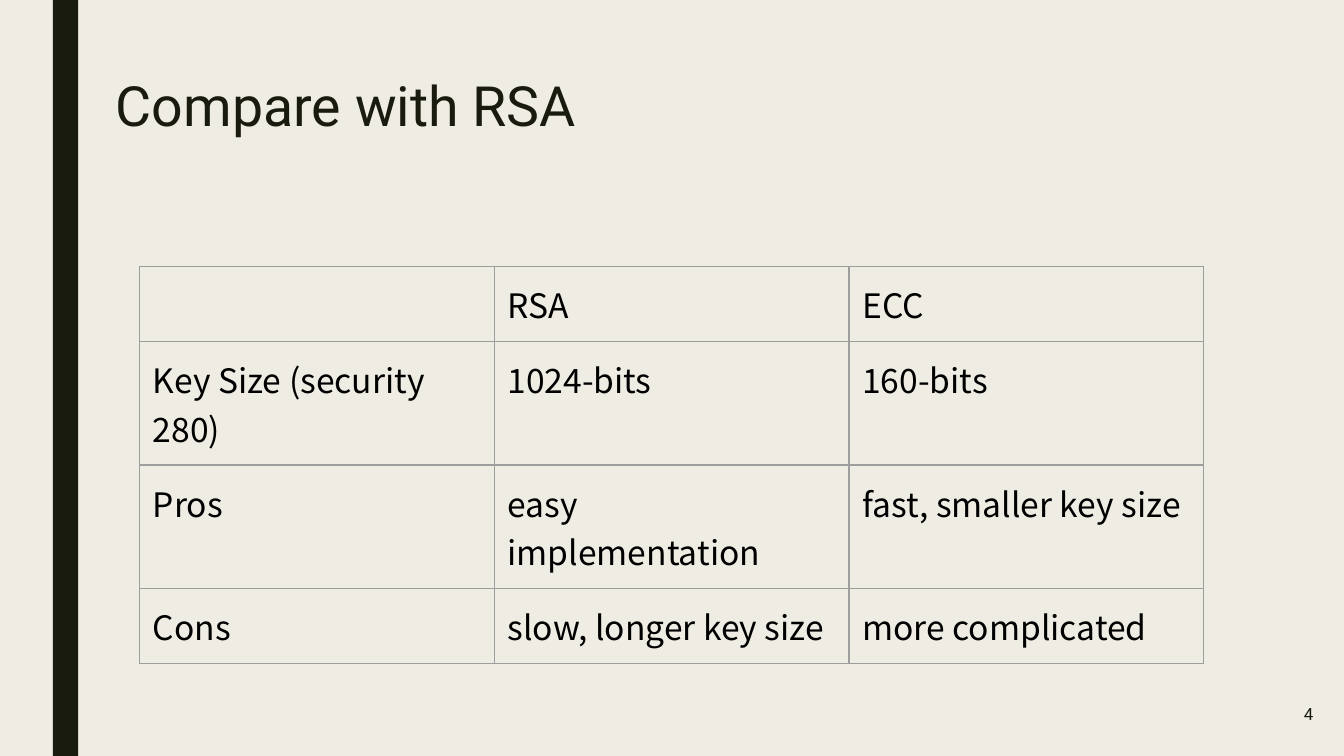
from dataclasses import dataclass

from lxml.etree import SubElement
from pptx import Presentation
from pptx.dml.color import RGBColor
from pptx.enum.shapes import MSO_SHAPE
from pptx.enum.text import MSO_ANCHOR, PP_ALIGN
from pptx.oxml.ns import qn
from pptx.util import Cm, Pt

BACKGROUND = RGBColor(0xEF, 0xED, 0xE3)
DARK = RGBColor(0x19, 0x1B, 0x0E)
BLACK = RGBColor(0, 0, 0)
BORDER = RGBColor(0x9E, 0x9E, 0x9E)
INSET = Cm(0.25)


@dataclass(frozen=True)
class Box:
    left: float
    top: float
    width: float
    height: float

    def lengths(self) -> tuple:
        return Cm(self.left), Cm(self.top), Cm(self.width), Cm(self.height)


@dataclass(frozen=True)
class TextStyle:
    font: str
    size: float
    color: RGBColor


TITLE_STYLE = TextStyle("Roboto", 29.7, DARK)
NUMBER_STYLE = TextStyle("Roboto", 9, DARK)
CELL_STYLE = TextStyle("Noto Sans CJK TC", 18, BLACK)

COMPARISON = [
    ("", "RSA", "ECC"),
    ("Key Size (security 280)", "1024-bits", "160-bits"),
    ("Pros", "easy implementation", "fast, smaller key size"),
    ("Cons", "slow, longer key size", "more complicated"),
]


def write_text(tf, text: str, style: TextStyle):
    """Write one styled paragraph and return it."""
    p = tf.paragraphs[0]
    r = p.add_run()
    r.text = text
    for name, value in {"name": style.font, "size": Pt(style.size), "bold": False}.items():
        setattr(r.font, name, value)
    r.font.color.rgb = style.color
    return p


def format_frame(target, anchor: MSO_ANCHOR) -> None:
    """Set equal insets, wrapping and anchor on a text frame or cell."""
    settings = {
        "margin_left": INSET, "margin_right": INSET,
        "margin_top": INSET, "margin_bottom": INSET,
        "word_wrap": True, "vertical_anchor": anchor,
    }
    for name, value in settings.items():
        setattr(target, name, value)


def draw_borders(cell) -> None:
    tc_pr = cell._tc.get_or_add_tcPr()
    for index, side in enumerate(("lnL", "lnR", "lnT", "lnB")):
        line = SubElement(tc_pr, qn(f"a:{side}"), w=str(Pt(0.75)))
        fill = SubElement(line, qn("a:solidFill"))
        SubElement(fill, qn("a:srgbClr"), val=str(BORDER))
        tc_pr.insert(index, line)  # borders precede the fill


def draw_table(s, box: Box, rows: list[tuple[str, ...]]) -> None:
    table = s.shapes.add_table(len(rows), len(rows[0]), *box.lengths()).table
    table.first_row = table.horz_banding = False
    for i, row in enumerate(rows):
        for j, text in enumerate(row):
            cell = table.cell(i, j)
            format_frame(cell.text_frame, MSO_ANCHOR.TOP)
            for side in ("left", "right", "top", "bottom"):
                setattr(cell, f"margin_{side}", INSET)
            cell.vertical_anchor = MSO_ANCHOR.TOP
            cell.fill.background()
            draw_borders(cell)
            if text:
                write_text(cell.text_frame, text, CELL_STYLE)


def main() -> None:
    prs = Presentation()
    prs.slide_width, prs.slide_height = Cm(25.4), Cm(14.29)
    s = prs.slides.add_slide(prs.slide_layouts[5])
    s.background.fill.solid()
    s.background.fill.fore_color.rgb = BACKGROUND

    # Vertical bar at the left
    bar = s.shapes.add_shape(MSO_SHAPE.RECTANGLE, *Box(1, 0, 0.48, 14.29).lengths())
    bar.shadow.inherit = False
    bar.fill.solid()
    bar.fill.fore_color.rgb = DARK
    bar.line.fill.background()

    # Title
    title = s.shapes.title
    title.left, title.top, title.width, title.height = Box(1.94, 1.24, 21.52, 1.6).lengths()
    format_frame(title.text_frame, MSO_ANCHOR.TOP)
    p = write_text(title.text_frame, "Compare with RSA", TITLE_STYLE)
    p.alignment = PP_ALIGN.LEFT
    p.line_spacing = 0.89

    # Comparison table
    draw_table(s, Box(2.64, 5.03, 20.11, 4.32), COMPARISON)

    # Slide number
    number = s.shapes.add_textbox(*Box(23.55, 12.95, 1.52, 1.09).lengths())
    format_frame(number.text_frame, MSO_ANCHOR.MIDDLE)
    write_text(number.text_frame, "4", NUMBER_STYLE).alignment = PP_ALIGN.RIGHT

    prs.save("out.pptx")


if __name__ == "__main__":
    main()
